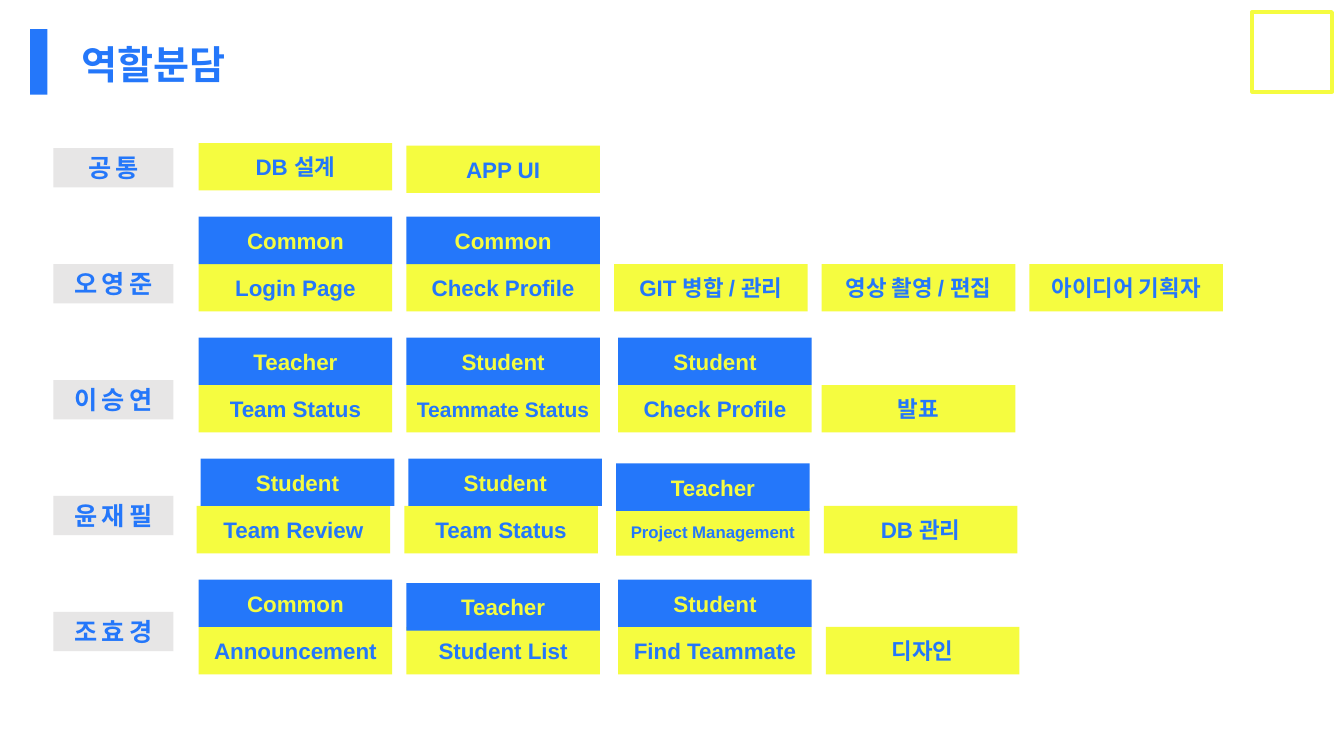
from pptx import Presentation
from pptx.dml.color import RGBColor
from pptx.enum.shapes import MSO_SHAPE
from pptx.enum.text import MSO_ANCHOR, PP_ALIGN
from pptx.util import Inches, Pt

BLUE, YELLOW, GREY = "2477FA", "F5FC40", "E7E6E6"
CARD_W, CARD_H = 1.92, 0.47

MEMBERS = ["공통", "오영준", "이승연", "윤재필", "조효경"]
TASKS = [
    (0, 0, "DB 설계"), (1, 0.02, "APP UI"),
    (0, 1, "Login Page"), (1, 1, "Check Profile"), (2, 1, "GIT 병합 / 관리"),
    (3, 1, "영상 촬영 / 편집"), (4, 1, "아이디어 기획자"),
    (0, 2, "Team Status"), (1, 2, "Teammate Status", 15),
    (2.02, 2, "Check Profile"), (3, 2, "발표"),
    (-0.01, 3, "Team Review"), (0.99, 3, "Team Status"),
    (2.01, 3.02, "Project Management", 12), (3.01, 3, "DB 관리"),
    (0, 4, "Announcement"), (1, 4, "Student List"),
    (2.02, 4, "Find Teammate"), (3.02, 4, "디자인"),
]
ROLES = [
    (0, 1, "Common"), (1, 1, "Common"),
    (0, 2, "Teacher"), (1, 2, "Student"), (2.02, 2, "Student"),
    (0.01, 3, "Student"), (1.01, 3, "Student"), (2.01, 3.04, "Teacher"),
    (0, 4, "Common"), (1, 4.03, "Teacher"), (2.02, 4, "Student"),
]


def rgb(color):
    return RGBColor.from_string(color)


class Deck:
    font = "Arial"
    left, top = 1.97, 1.42
    col, row = 2.06, 1.2

    def __init__(self):
        self.prs = Presentation()
        self.prs.slide_width, self.prs.slide_height = Inches(13.33), Inches(7.5)
        self.s = self.prs.slides.add_slide(self.prs.slide_layouts[5])

    def set_text(self, tf, text, size, color, align, spacing=0):
        tf.text = text
        tf.word_wrap = True
        tf.vertical_anchor = MSO_ANCHOR.MIDDLE
        p = tf.paragraphs[0]
        p.alignment = align
        r = p.runs[0]
        r.font.name, r.font.size, r.font.bold = self.font, Pt(size), True
        r.font.color.rgb = rgb(color)
        if spacing:
            r._r.get_or_add_rPr().set("spc", str(spacing * 100))

    def title(self, text):
        sp = self.s.shapes.title
        sp.left, sp.top = Inches(0.71), Inches(0.34)
        sp.width, sp.height = Inches(11.16), Inches(0.65)
        tf = sp.text_frame
        self.set_text(tf, text, 28, BLUE, PP_ALIGN.LEFT)
        tf.paragraphs[0].line_spacing = 0.9

    def box(self, x, y, w, h, fill=None, line=None):
        sp = self.s.shapes.add_shape(
            MSO_SHAPE.RECTANGLE, Inches(x), Inches(y), Inches(w), Inches(h))
        sp.shadow.inherit = False
        if fill:
            sp.fill.solid()
            sp.fill.fore_color.rgb = rgb(fill)
        else:
            sp.fill.background()
        if line:
            sp.line.color.rgb = rgb(line)
            sp.line.width = Pt(3)
        else:
            sp.line.fill.background()
        return sp

    def label(self, sp, text, size, color, spacing=0):
        tf = sp.text_frame
        tf.margin_left = tf.margin_right = tf.margin_top = tf.margin_bottom = 0
        self.set_text(tf, text, size, color, PP_ALIGN.CENTER, spacing)

    def member(self, row, name):
        sp = self.box(0.53, 1.47 + row * 1.15, 1.19, 0.39, GREY)
        self.label(sp, name, 18, BLUE, 3)

    def card(self, col, row, text, size, fill, color, lift=0):
        x = self.left + col * self.col
        y = self.top + row * self.row - lift
        self.label(self.box(x, y, CARD_W, CARD_H, fill), text, size, color)

    def task(self, col, row, text, size=16):
        self.card(col, row, text, size, YELLOW, BLUE)

    def role(self, col, row, text):
        self.card(col, row, text, 16, BLUE, YELLOW, CARD_H)


def main():
    deck = Deck()
    deck.box(0.3, 0.29, 0.17, 0.65, BLUE)
    deck.box(12.42, 0.12, 0.79, 0.79, line=YELLOW)
    deck.title("역할분담")
    for row, name in enumerate(MEMBERS):
        deck.member(row, name)
    for task in TASKS:
        deck.task(*task)
    for role in ROLES:
        deck.role(*role)
    deck.prs.save("out.pptx")


if __name__ == "__main__":
    main()
